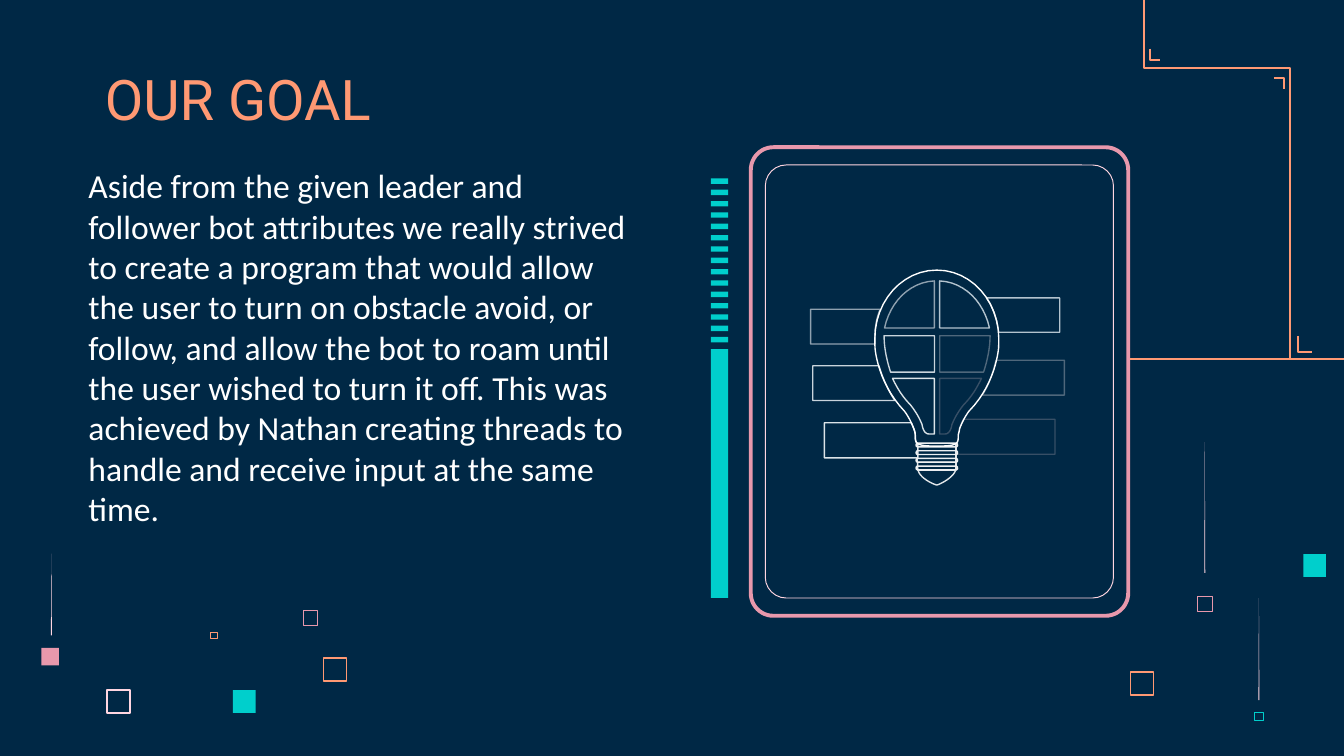
from lxml import etree
from pptx import Presentation
from pptx.dml.color import RGBColor
from pptx.enum.shapes import MSO_CONNECTOR, MSO_SHAPE
from pptx.enum.text import MSO_ANCHOR, MSO_AUTO_SIZE, PP_ALIGN
from pptx.oxml.ns import qn
from pptx.util import Pt

RECT = MSO_SHAPE.RECTANGLE
ROUND = MSO_SHAPE.ROUNDED_RECTANGLE
LINE = MSO_CONNECTOR.STRAIGHT
LEFT = PP_ALIGN.LEFT
TOP = MSO_ANCHOR.TOP
BASE = MSO_ANCHOR.BOTTOM
FIXED = MSO_AUTO_SIZE.NONE
CORAL, PINK, BLUSH, TEAL = "FF9973", "E898AC", "FFD6E1", "00CFCC"


def paint(shape, fill=None, line=None, wide=0.75):
    shape.shadow.inherit = False
    for part, tint in ((shape.fill, fill), (shape.line.fill, line)):
        if tint:
            part.solid()
            part.fore_color.rgb = RGBColor.from_string(tint)
        else:
            part.background()
    if line:
        shape.line.width = Pt(wide)
    return shape


def trace(steps, close=True):
    x, y = steps[0]
    pen = shapes.build_freeform(Pt(x), Pt(y), scale=1.0)
    dots = []
    for step in steps[1:]:
        if len(step) == 2:
            dots.append(step)
        else:
            a, b, c, d, e, f = step
            for i in range(1, 13):
                t = i / 12
                u = 1 - t
                dots.append((u**3 * x + 3 * u * u * t * a + 3 * u * t * t * c + t**3 * e,
                             u**3 * y + 3 * u * u * t * b + 3 * u * t * t * d + t**3 * f))
        x, y = step[-2:]
    pen.add_line_segments([(Pt(p), Pt(q)) for p, q in dots], close=close)
    return pen.convert_to_shape()


deck = Presentation()
deck.slide_width, deck.slide_height = Pt(720), Pt(405)
slide = deck.slides.add_slide(deck.slide_layouts[5])
shapes = slide.shapes
ground = slide.background.fill
ground.solid()
ground.fore_color.rgb = RGBColor.from_string("002845")

squares = [
    (57.2, 369.7, 12.4, None, BLUSH, 0.9),
    (162.4, 327.2, 7.9, None, PINK, 0.6),
    (113, 338.7, 3.6, None, CORAL, 0.6),
    (173.2, 352.5, 12.4, None, CORAL, 0.75),
    (605.6, 360.1, 12.3, None, CORAL, 0.75),
    (641.5, 319.3, 8, None, PINK, 0.23),
    (672, 381.6, 4.5, None, TEAL, 0.23),
    (124.8, 369.8, 12.2, TEAL, None, 0),
    (22.2, 347.1, 9.4, PINK, None, 0),
    (698.2, 296.9, 12.2, TEAL, None, 0),
]
for x, y, size, fill, line, wide in squares:
    paint(shapes.add_shape(RECT, Pt(x), Pt(y), Pt(size), Pt(size)), fill, line, wide)

for x, top, low in ((645.2, 236.9, 306.9), (27.3, 296.6, 340.4), (674.2, 320.4, 375.1)):
    paint(trace([(x + 0.25, top), (x, low), (x + 0.5, low)]), BLUSH)

body = shapes.add_textbox(Pt(40.3), Pt(81.4), Pt(306), Pt(278.6))
goal = "Aside from the given leader and follower bot attributes we really strived to create a program that would allow the user to turn on obstacle avoid, or follow, and allow the bot to roam until the user wished to turn it off. This was achieved by Nathan creating threads to handle and receive input at the same time."
title = shapes.title
title.left, title.top, title.width, title.height = Pt(49), Pt(32.4), Pt(211.7), Pt(45.4)
for box, text, font, size, tint, hold in (
    (body, goal, "Calibri", 18, "FFFFFF", TOP),
    (title, "OUR GOAL", "Roboto", 30, CORAL, BASE),
):
    frame = box.text_frame
    frame.word_wrap = True
    frame.auto_size = FIXED
    frame.vertical_anchor = hold
    frame.margin_left = frame.margin_right = frame.margin_top = frame.margin_bottom = Pt(7.2)
    para = frame.paragraphs[0]
    para.alignment = LEFT
    run = para.add_run()
    run.text = text
    run.font.name = font
    run.font.size = Pt(size)
    run.font.color.rgb = RGBColor.from_string(tint)

for x, y, w, h, arc, tint, wide in (
    (402.2, 78.9, 202.2, 251, 0.06, PINK, 2.1),
    (410, 88.4, 186.5, 232, 0.06, BLUSH, 0.5),
):
    panel = shapes.add_shape(ROUND, Pt(x), Pt(y), Pt(w), Pt(h))
    panel.adjustments[0] = arc
    paint(panel, None, tint, wide)

bars = [(95.6 + 6.07 * i, 2.9) for i in range(15)] + [(187, 133.4)]
for y, h in bars:
    paint(shapes.add_shape(RECT, Pt(380.9), Pt(y), Pt(9.2), Pt(h)), TEAL)

rail = shapes.add_connector(LINE, Pt(605.4), Pt(192.4), Pt(720), Pt(192.4))
rail.line.width = Pt(1.1)
rail.line.color.rgb = RGBColor.from_string(CORAL)
etree.SubElement(rail._element.spPr, qn("a:effectLst"))
for route in (
    [(613.1, 0), (613.1, 36.4), (691.1, 36.4), (691.1, 192.4)],
    [(695.5, 180), (695.5, 188.4), (702.9, 188.4)],
    [(682.4, 41.8), (687.9, 41.8), (687.9, 47.7)],
    [(616.2, 26), (616.2, 32.1), (621.7, 32.1)],
):
    paint(trace(route, False), None, CORAL, 1.1)

tabs = [
    ("374F66", [(516.2, 224.6), (514.8, 227, 513.4, 231, 513.4, 233.3),
                (513.4, 235.4, 513.4, 236.9, 511.9, 238), (511.9, 243.4),
                (565.2, 243.4), (565.2, 224.6)]),
    ("DBE3E8", [(491.8, 238), (490.3, 236.9, 490.3, 235.4, 490.3, 233.3),
                (490.3, 231, 489, 228.5, 488.2, 226.5), (441.6, 226.5),
                (441.6, 245.3), (491.8, 245.3)]),
    ("4F677B", [(533.5, 193), (532.1, 199.4, 529.9, 205.9, 526.3, 211.7),
                (570.2, 211.7), (570.2, 193)]),
    ("B3C3CE", [(528.5, 159.6), (532.1, 164.9, 534.2, 171.4, 535, 178),
                (567.7, 178), (567.7, 159.6)]),
    ("8FA1AF", [(468.7, 181.4), (468.7, 176.4, 469.4, 170.6, 471.6, 165.7),
                (434.3, 165.7), (434.3, 184.3), (468.7, 184.3)]),
    ("C9D4DC", [(470.9, 196), (435.4, 196), (435.4, 214.6), (479.5, 214.6),
                (475.9, 209.5, 473, 203, 470.9, 196)]),
]
for tint, steps in tabs:
    paint(trace(steps), None, tint)

mid = 502
panes = [
    ("8FA1AF", "B3C3CE", [(1.4, 175.7), (28.1, 175.7), (25.1, 162, 15, 151.2, 1.4, 150.5)]),
    ("C9D4DC", "4F677B", [(1.4, 179.9), (28.4, 179.9),
                          (28.4, 186, 27, 193, 24.9, 199.4), (1.4, 199.4)]),
    ("DBE3E8", "374F66", [(1.4, 202.7), (23.8, 202.7),
                          (21.6, 207.4, 18.7, 212.4, 14.4, 216.7),
                          (11.5, 220.3, 9.4, 223.9, 8, 227.5),
                          (7.6, 230, 6.5, 232.5, 4.3, 232.5), (1.4, 232.5)]),
]
for west, east, steps in panes:
    for side, tint in ((-1, west), (1, east)):
        turned = [tuple(v if i % 2 else mid + side * v for i, v in enumerate(step))
                  for step in steps]
        paint(trace(turned), None, tint)

tip = [(491.6, 247.7), (512.2, 247.7), (512.2, 250.6),
       (512.2, 255.6, 502.6, 259.9, 501.9, 259.9),
       (501.2, 259.9, 491.6, 256.3, 491.6, 250.6)]
paint(trace(tip), None, "E3E7EA")
paint(shapes.add_shape(RECT, Pt(491.6), Pt(237.6), Pt(20.5), Pt(14.2)), None, "E3E7EA")
for i in range(4):
    ring = shapes.add_shape(ROUND, Pt(490.8), Pt(237.4 + 4.1 * i), Pt(22.2), Pt(2))
    ring.adjustments[0] = 0.4
    paint(ring, None, "EEF0F2")

bulb = [(501.9, 144.7), (520.4, 144.7, 535.1, 161.3, 535.1, 181.4),
        (535.1, 183.2, 535.1, 184.7, 535, 186.5),
        (534.2, 193.7, 531, 208.1, 519.1, 220.3),
        (517, 223.2, 515.5, 226.1, 514.1, 229.7),
        (514, 231.1, 513.4, 232.6, 513.4, 233.3),
        (513.4, 237.6, 513.4, 239, 501.9, 239),
        (490.4, 239, 490.4, 237.6, 490.4, 233.3),
        (490.4, 232.6, 490.2, 231.1, 489.6, 229.7),
        (488.2, 226.1, 486.7, 223.2, 484.6, 220.3),
        (473, 208.1, 469.5, 193.7, 468.8, 186.5),
        (468.7, 184.7, 468.7, 183.2, 468.7, 181.4),
        (468.7, 161.3, 483.4, 144.7, 501.9, 144.7)]
paint(trace(bulb), None, "FEFEFE")

deck.save("out.pptx")
